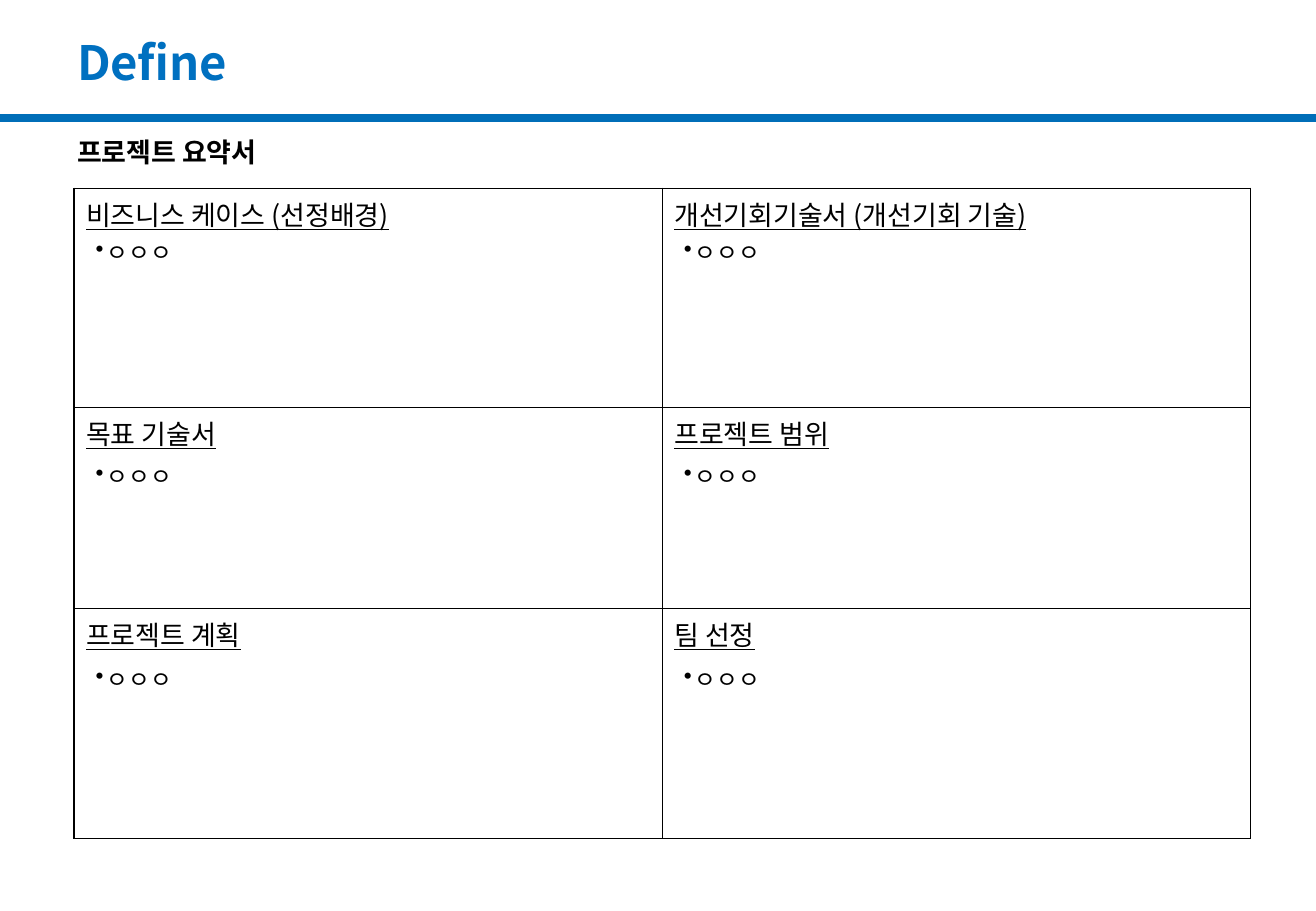
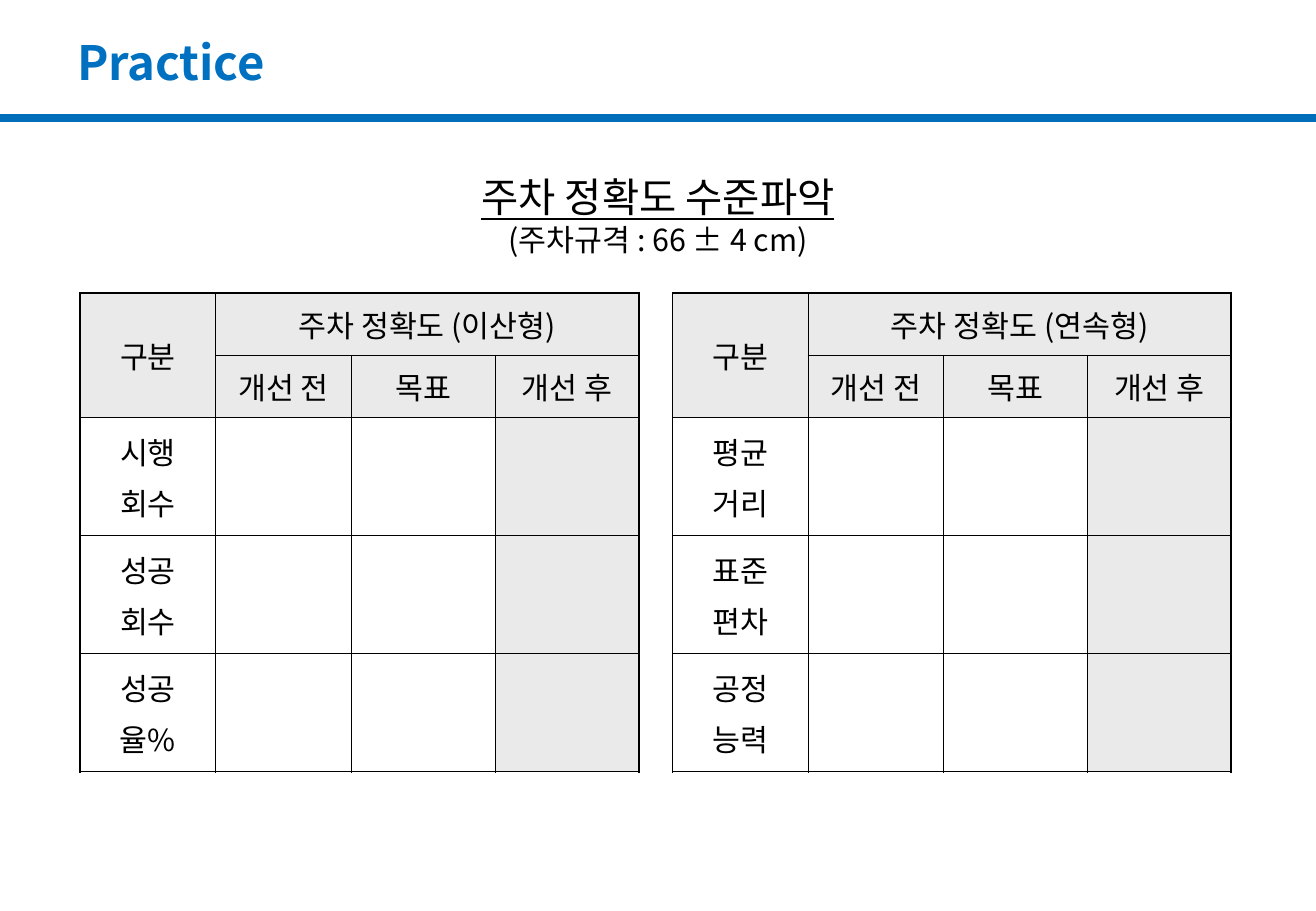
from dataclasses import dataclass
from lxml import etree
from pptx import Presentation
from pptx.dml.color import RGBColor
from pptx.enum.shapes import MSO_CONNECTOR
from pptx.enum.text import MSO_ANCHOR, PP_ALIGN
from pptx.oxml.ns import qn
from pptx.util import Emu, Inches, Pt

STRAIGHT = MSO_CONNECTOR.STRAIGHT
TOP, MIDDLE, BOTTOM = MSO_ANCHOR.TOP, MSO_ANCHOR.MIDDLE, MSO_ANCHOR.BOTTOM
LEFT, CENTER = PP_ALIGN.LEFT, PP_ALIGN.CENTER
WIDTH, HEIGHT = Inches(10.84), Inches(7.5)


@dataclass(frozen=True)
class Theme:
    font: str = "Noto Sans CJK KR"
    title: str = "0070C0"
    band: str = "006EB8"
    ink: str = "000000"
    shade: str = "EAEAEA"
    shade_alpha: int = 50
    title_size: float = 28
    heading_size: float = 24
    table_size: float = 18
    label_size: float = 16
    bullet_size: float = 14
    band_width: float = 4.5
    outer_line: float = 1.08
    inner_line: float = 0.45


THEME = Theme()


def col(n):
    return Emu(round(WIDTH * n / 100))


def row(n):
    return Emu(round(HEIGHT * n / 100))


def add_paragraph(tf, text, size, first=False, align=LEFT, before=0,
                  color=THEME.ink, bold=False, underline=False):
    p = tf.paragraphs[0] if first else tf.add_paragraph()
    p.alignment = align
    p.space_before = Pt(before)
    r = p.add_run()
    r.text = text
    font = r.font
    font.size, font.bold, font.underline = Pt(size), bold, underline
    font.color.rgb = RGBColor.from_string(color)
    font.name = THEME.font
    etree.SubElement(r._r.get_or_add_rPr(), qn("a:ea"), typeface=THEME.font)
    return p


def add_box(slide, x, y, w, h, anchor=TOP, wrap=True, inset=0.05):
    sp = slide.shapes.add_textbox(col(x), row(y), col(w), row(h))
    tf = sp.text_frame
    tf.word_wrap = wrap
    tf.vertical_anchor = anchor
    tf.margin_top = tf.margin_bottom = Inches(inset)
    return tf


def add_bullet(slide, x, y, text):
    tf = add_box(slide, x, y, 42.9, 4.53)
    p = add_paragraph(tf, text, THEME.bullet_size, first=True)
    pPr = p._p.get_or_add_pPr()
    pPr.set("marL", str(Inches(0.09)))
    pPr.set("indent", str(-Inches(0.09)))
    etree.SubElement(pPr, qn("a:buChar"), char="•")


def add_slide(prs, title):
    slide = prs.slides.add_slide(prs.slide_layouts[6])
    band = slide.shapes.add_connector(STRAIGHT, 0, row(12.93), WIDTH, row(12.93))
    band.line.color.rgb = RGBColor.from_string(THEME.band)
    band.line.width = Pt(THEME.band_width)
    etree.SubElement(band._element.spPr, qn("a:effectLst"))
    tf = add_box(slide, 4.95, 1.07, 74.7, 10.13, anchor=BOTTOM, inset=0.1)
    add_paragraph(tf, title, THEME.title_size, first=True, color=THEME.title, bold=True)
    return slide


def set_borders(cell, outer):
    tcPr = cell._tc.get_or_add_tcPr()
    for side in "LRTB":
        width = THEME.outer_line if side in outer else THEME.inner_line
        ln = etree.SubElement(tcPr, qn(f"a:ln{side}"), w=str(Pt(width)))
        fill = etree.SubElement(ln, qn("a:solidFill"))
        etree.SubElement(fill, qn("a:srgbClr"), val=THEME.ink)


def set_fill(cell, shaded):
    if not shaded:
        cell.fill.background()
        return
    cell.fill.solid()
    cell.fill.fore_color.rgb = RGBColor.from_string(THEME.shade)
    clr = cell._tc.tcPr.find(".//" + qn("a:srgbClr"))
    etree.SubElement(clr, qn("a:alpha"), val=str(THEME.shade_alpha * 1000))


def add_grid(slide, x, y, widths, heights, merges=(), shaded=lambda r, c: False):
    frame = slide.shapes.add_table(len(heights), len(widths), col(x), row(y),
                                   col(sum(widths)), row(sum(heights)))
    table = frame.table
    table.first_row = table.horz_banding = False
    for column, width in zip(table.columns, widths):
        column.width = col(width)
    for line, height in zip(table.rows, heights):
        line.height = row(height)
    for start, end in merges:
        table.cell(*start).merge(table.cell(*end))
    for r in range(len(heights)):
        for c in range(len(widths)):
            cell = table.cell(r, c)
            edges = {"L": c == 0, "T": r == 0,
                     "R": c + cell.span_width >= len(widths),
                     "B": r + cell.span_height >= len(heights)}
            if cell.is_spanned:
                edges["R"], edges["B"] = c == len(widths) - 1, r == len(heights) - 1
            set_borders(cell, [side for side, on in edges.items() if on])
            set_fill(cell, shaded(r, c))
    return table


def add_accuracy_table(slide, x, kind, measures):
    table = add_grid(slide, x, 32.13, [10.3, 10.3, 10.93, 10.93],
                     [6.86] * 2 + [12.96] * 3,
                     merges=[((0, 0), (1, 0)), ((0, 1), (0, 3))],
                     shaded=lambda r, c: r < 2 or c == 3)
    texts = {(0, 0): ["구분"], (0, 1): [f"주차 정확도 ({kind})"]}
    texts.update({(1, c): [t] for c, t in enumerate(["개선 전", "목표", "개선 후"], 1)})
    texts.update({(r, 0): lines for r, lines in enumerate(measures, 2)})
    for position, lines in texts.items():
        cell = table.cell(*position)
        cell.vertical_anchor = MIDDLE
        for i, text in enumerate(lines):
            add_paragraph(cell.text_frame, text, THEME.table_size, first=i == 0,
                          align=CENTER, before=4.5)


def build_define(prs):
    slide = add_slide(prs, "Define")
    left, top, width = 5.63, 20.67, 44.7
    heights = [24, 22.07, 25.32]
    bullet_drops = [4.8, 5.33, 5.6]
    topics = [["비즈니스 케이스 (선정배경)", "개선기회기술서 (개선기회 기술)"],
              ["목표 기술서", "프로젝트 범위"],
              ["프로젝트 계획", "팀 선정"]]
    table = add_grid(slide, left, top, [width] * 2, heights)
    tf = add_box(slide, 4.95, 14.27, 90, 5.33)
    add_paragraph(tf, "프로젝트 요약서", THEME.label_size, first=True, bold=True)
    for r, pair in enumerate(topics):
        y = top + sum(heights[:r]) + bullet_drops[r]
        for c, topic in enumerate(pair):
            add_paragraph(table.cell(r, c).text_frame, topic, THEME.label_size,
                          first=True, before=4 if r else 6, underline=True)
            add_bullet(slide, left + c * width + 0.74, y, "ㅇㅇㅇ")


def build_practice(prs):
    slide = add_slide(prs, "Practice")
    tf = add_box(slide, 35.5, 18.27, 29, 10.67, wrap=False)
    add_paragraph(tf, "주차 정확도 수준파악", THEME.heading_size, first=True,
                  align=CENTER, underline=True)
    add_paragraph(tf, "(주차규격 : 66 ± 4 cm)", THEME.table_size, align=CENTER)
    tables = [("이산형", [["시행", "회수"], ["성공", "회수"], ["성공", "율%"]]),
              ("연속형", [["평균", "거리"], ["표준", "편차"], ["공정", "능력"]])]
    for i, (kind, measures) in enumerate(tables):
        add_accuracy_table(slide, 6.09 + i * 45.02, kind, measures)


def main():
    prs = Presentation()
    prs.slide_width, prs.slide_height = WIDTH, HEIGHT
    build_define(prs)
    build_practice(prs)
    prs.save("out.pptx")


if __name__ == "__main__":
    main()
